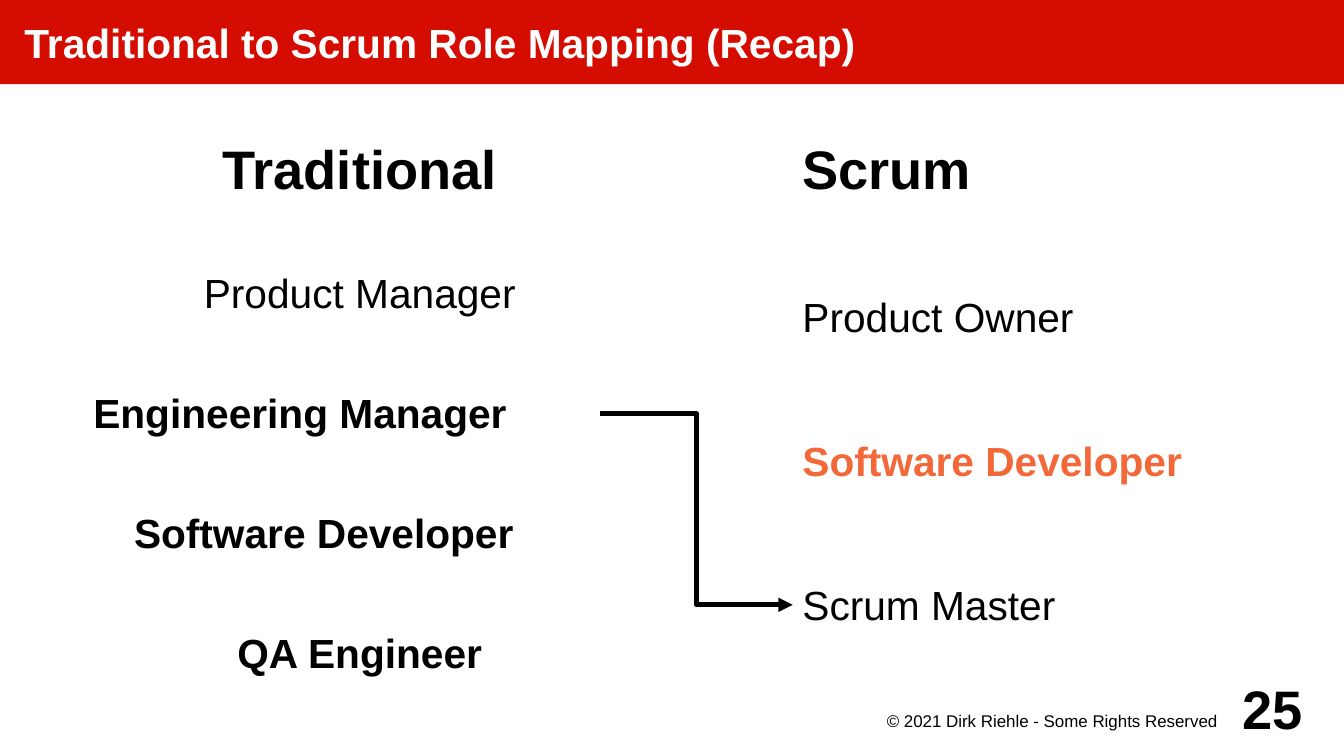
from lxml.etree import SubElement
from pptx import Presentation
from pptx.dml.color import RGBColor
from pptx.enum.shapes import MSO_CONNECTOR
from pptx.enum.text import MSO_ANCHOR, MSO_AUTO_SIZE, PP_ALIGN
from pptx.oxml.ns import qn
from pptx.util import Inches, Pt

COLORS = {"banner": "D50D01", "white": "FFFFFF", "black": "000000", "accent": "F36838"}
PAD = (0.08, 0.08, 0.08, 0.08)


def write(sp, text, size, bold=False, color="black", align=PP_ALIGN.LEFT,
          anchor=MSO_ANCHOR.MIDDLE, insets=PAD):
    tf = sp.text_frame
    sides = ("margin_left", "margin_top", "margin_right", "margin_bottom")
    frame = {"word_wrap": True, "auto_size": MSO_AUTO_SIZE.NONE, "vertical_anchor": anchor}
    frame.update(zip(sides, map(Inches, insets)))
    for name, value in frame.items():
        setattr(tf, name, value)
    p = tf.paragraphs[0]
    p.alignment = align
    r = p.add_run()
    r.text = text
    for name, value in {"name": "Arial", "size": Pt(size), "bold": bold}.items():
        setattr(r.font, name, value)
    r.font.color.rgb = RGBColor.from_string(COLORS[color])


def add_text(left, top, width, height, text, size, **style):
    sp = s.shapes.add_textbox(*map(Inches, (left, top, width, height)))
    write(sp, text, size, **style)


prs = Presentation()
prs.slide_width, prs.slide_height = Inches(11.02), Inches(6.2)
s = prs.slides.add_slide(prs.slide_layouts[5])

title = s.shapes.title
box = {"left": 0, "top": 0, "width": 11.02, "height": 0.69}
for name, value in box.items():
    setattr(title, name, Inches(value))
title.fill.solid()
title.fill.fore_color.rgb = RGBColor.from_string(COLORS["banner"])
write(title, "Traditional to Scrum Role Mapping (Recap)", 24, bold=True,
      color="white", insets=(0.2, 0, 0, 0))

center = PP_ALIGN.CENTER
add_text(0.98, 0.79, 3.94, 1.18, "Traditional", 32, bold=True, align=center)
add_text(6.5, 0.79, 3.94, 1.18, "Scrum", 32, bold=True)

traditional_roles = [
    ("Product Manager", 0.98, False),
    ("Engineering Manager", 0, True),
    ("Software Developer", 0.39, True),
    ("QA Engineer", 0.98, True),
]
for i, (role, left, bold) in enumerate(traditional_roles):
    add_text(left, 1.81 + 0.984 * i, 4.92 - left, 1.18, role, 24, bold=bold, align=center)

scrum_roles = [
    ("Product Owner", False, "black"),
    ("Software Developer", True, "accent"),
    ("Scrum Master", False, "black"),
]
for i, (role, bold, color) in enumerate(scrum_roles):
    add_text(6.5, 1.81 + 1.18 * i, 4.33, 1.57, role, 24, bold=bold, color=color)

arrow = s.shapes.add_connector(
    MSO_CONNECTOR.ELBOW, Inches(4.92), Inches(3.39), Inches(6.5), Inches(4.96))
arrow.line.color.rgb = RGBColor.from_string(COLORS["black"])
arrow.line.width = Pt(2.83)
SubElement(arrow.line._get_or_add_ln(), qn("a:tailEnd"), type="triangle")
SubElement(arrow._element.spPr, qn("a:effectLst"))

add_text(7.09, 5.81, 3.15, 0.3, "© 2021 Dirk Riehle - Some Rights Reserved", 10,
         align=center, anchor=MSO_ANCHOR.TOP, insets=(0, 0.02, 0.08, 0))
add_text(10.04, 5.51, 0.79, 0.59, "25", 32, bold=True, align=center, insets=(0, 0, 0, 0))

prs.save("out.pptx")
